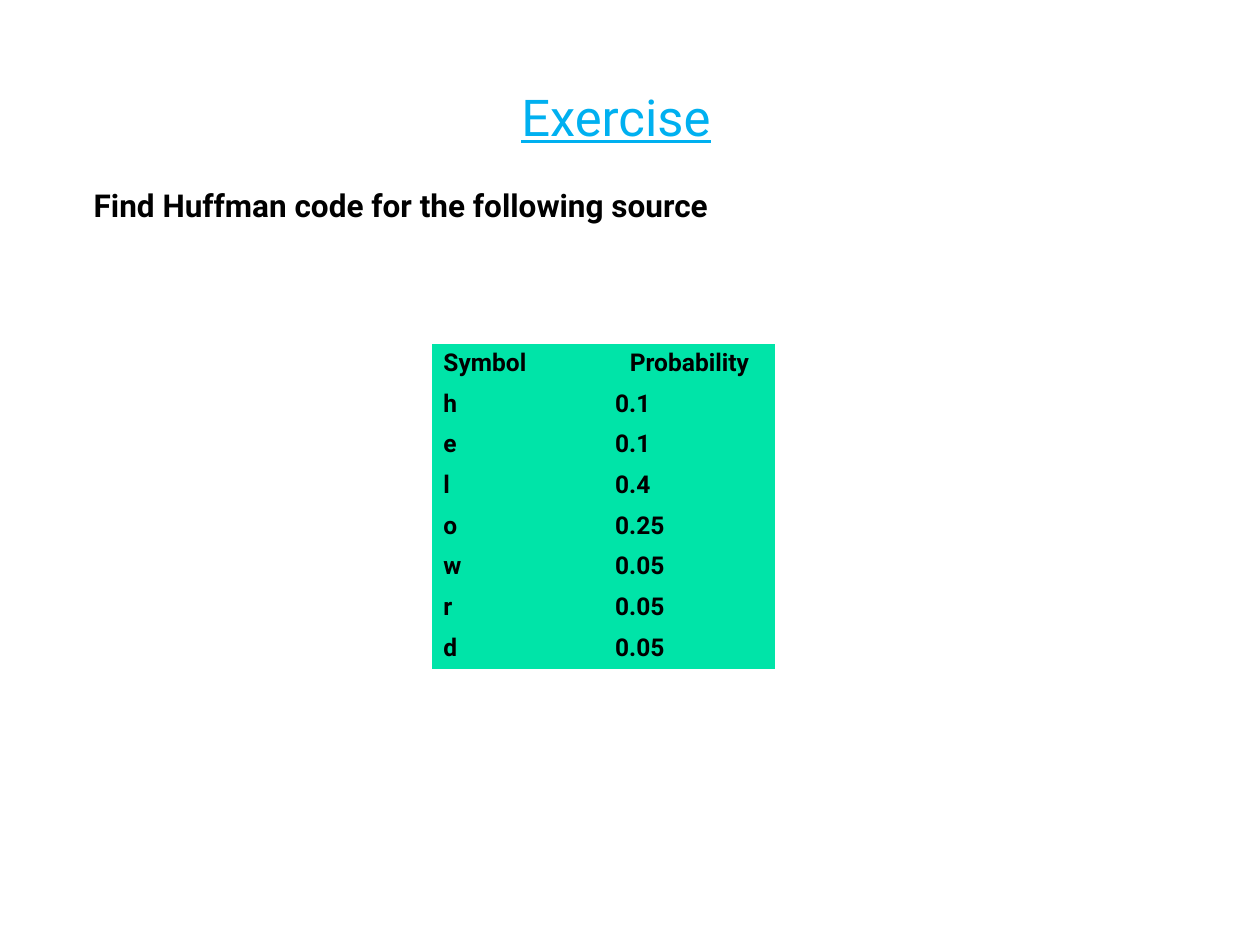
import pptx
import pptx.dml.color
import pptx.enum.text
import pptx.oxml
import pptx.util
from pptx.dml.color import RGBColor
from pptx.util import Cm, Pt

FONT = "Roboto"
BLACK = RGBColor(0x00, 0x00, 0x00)
SKY = RGBColor(0x00, 0xB0, 0xF0)
MINT = RGBColor(0x00, 0xE4, 0xA8)

SOURCE = [
    ("Symbol", "Probability"),
    ("h", "0.1"),
    ("e", "0.1"),
    ("l", "0.4"),
    ("o", "0.25"),
    ("w", "0.05"),
    ("r", "0.05"),
    ("d", "0.05"),
]


def style_font(font, size, color, bold=False, underline=False):
    font.name = FONT
    font.size = Pt(size)
    font.color.rgb = color
    font.bold = bold
    font.underline = underline


def write_line(para, text, left, line_height, **style):
    """Fill a paragraph that starts at the given left margin."""
    para.text = text
    properties = para._p.get_or_add_pPr()
    properties.set("marL", str(int(left)))
    properties.set("indent", "0")
    para.line_spacing = Pt(line_height)
    for span in para.runs:
        style_font(span.font, **style)


def add_heading(page):
    box = page.shapes.add_textbox(Cm(1.75), Cm(1.75), Cm(13.92), Cm(2.9))
    frame = box.text_frame
    frame.word_wrap = True
    frame.margin_left = frame.margin_right = frame.margin_top = 0
    frame.margin_bottom = Cm(0.1)
    write_line(frame.paragraphs[0], "Exercise", Cm(8.76), 34.1,
               size=29, color=SKY, underline=True)
    task = frame.add_paragraph()
    write_line(task, "Find Huffman code for the following source", Cm(0.14), 26,
               size=18, color=BLACK, bold=True)
    task.space_before = Pt(18)


def hide_borders(cell):
    properties = cell._tc.get_or_add_tcPr()
    for side in ("lnL", "lnR", "lnT", "lnB"):
        line = pptx.oxml.parse_xml(
            f'<a:{side} xmlns:a="http://schemas.openxmlformats.org/drawingml/2006/main"'
            ' w="0"><a:noFill/></a:' + side + ">")
        properties.append(line)


def fill_cell(cell, text):
    hide_borders(cell)
    cell.fill.solid()
    cell.fill.fore_color.rgb = MINT
    cell.margin_left = cell.margin_right = Cm(0.23)
    cell.margin_top = cell.margin_bottom = Cm(0.1)
    cell.text = text
    for span in cell.text_frame.paragraphs[0].runs:
        style_font(span.font, 14, BLACK, bold=True)


def add_source_table(page):
    row_height = Cm(0.82)
    table = page.shapes.add_table(
        len(SOURCE), 2, Cm(8.71), Cm(6.93), Cm(6.92), row_height * len(SOURCE)).table
    for row, values in zip(table.rows, SOURCE):
        row.height = row_height
        for cell, text in zip(row.cells, values):
            fill_cell(cell, text)
    header = table.cell(0, 1).text_frame.paragraphs[0]
    header.alignment = pptx.enum.text.PP_ALIGN.CENTER


def main():
    deck = pptx.Presentation()
    deck.slide_width, deck.slide_height = Cm(25.4), Cm(19.05)
    page = deck.slides.add_slide(deck.slide_layouts[6])
    add_source_table(page)
    add_heading(page)
    deck.save("out.pptx")


if __name__ == "__main__":
    main()
